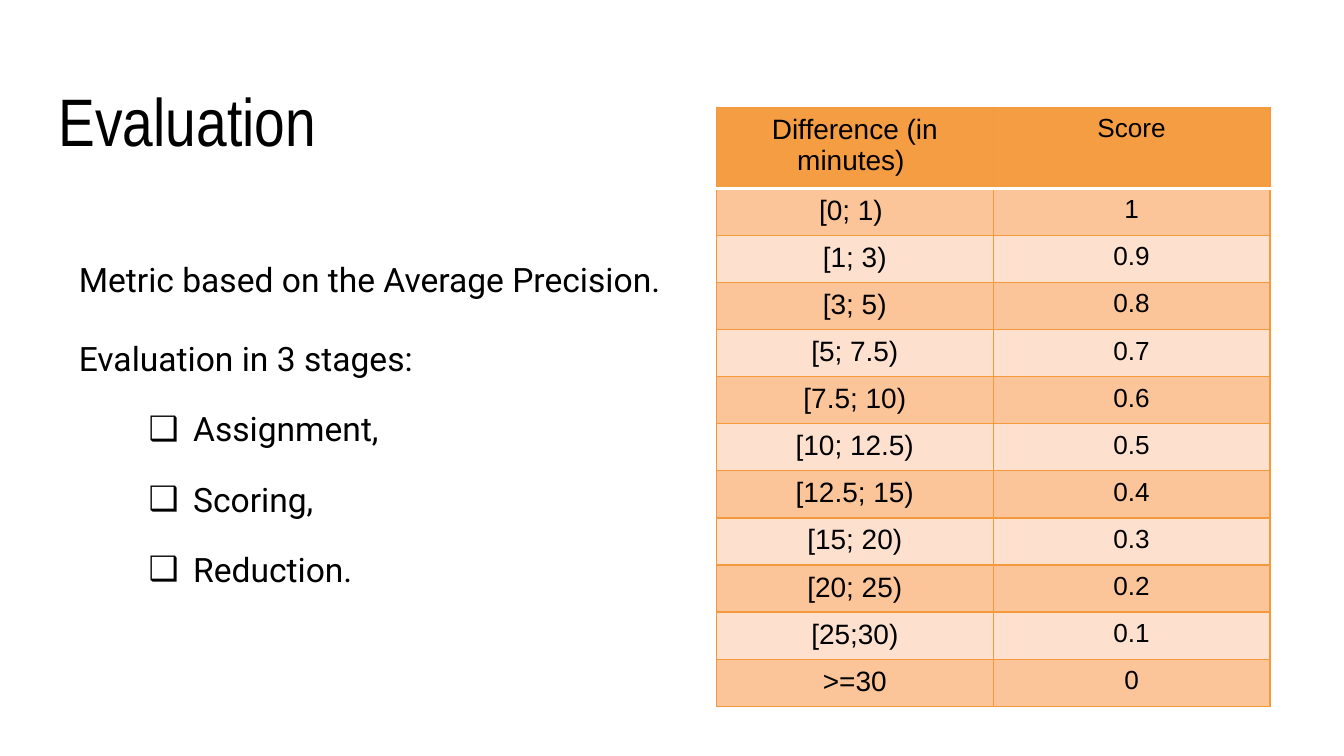
"""Build the slide on evaluation: metric, stages and the score for each time difference."""
from dataclasses import dataclass

from lxml import etree
from pptx import Presentation
from pptx.dml.color import RGBColor
from pptx.enum.text import MSO_ANCHOR, PP_ALIGN
from pptx.oxml.ns import qn
from pptx.util import Cm, Pt

TOP, MIDDLE = MSO_ANCHOR.TOP, MSO_ANCHOR.MIDDLE
LEFT, CENTER = PP_ALIGN.LEFT, PP_ALIGN.CENTER

COLORS = {
    "text": "000000",
    "header": "F59D43",
    "dark_band": "FCC499",
    "light_band": "FEE0CF",
    "border": "F49A3D",
    "rule": "FFFFFF",
}
INSET = Cm(0.25)
HEADER_HEIGHT, ROW_HEIGHT, COLUMN_WIDTH = Cm(1.53), Cm(0.89), Cm(5.23)


@dataclass
class Line:
    text: str
    level: int = 0
    margin: float = 0.38
    indent: float = 0
    before: int = 0
    after: int = 0
    bullet: str = ""


@dataclass
class Score:
    difference: str
    score: str


BODY = [
    Line("Metric based on the Average Precision.", after=21),
    Line("Evaluation in 3 stages:"),
    *(Line(stage, level=1, margin=2.54, indent=-0.84, before=16, bullet="❑")
      for stage in ("Assignment,", "Scoring,", "Reduction.")),
]
HEADING = Score("Difference (in minutes) ", "Score")
SCORES = [
    Score("[0; 1) ", "1"),
    Score("[1; 3)", "0.9"),
    Score("[3; 5)", "0.8"),
    Score("[5; 7.5)", "0.7"),
    Score("[7.5; 10)", "0.6"),
    Score("[10; 12.5)", "0.5"),
    Score("[12.5; 15)", "0.4"),
    Score("[15; 20)", "0.3"),
    Score("[20; 25)", "0.2"),
    Score("[25;30)", "0.1"),
    Score(">=30", "0"),
]


def set_font(paragraph, name: str, size: float) -> None:
    font = paragraph.font
    font.name, font.size, font.bold = name, Pt(size), False
    font.color.rgb = RGBColor.from_string(COLORS["text"])


def place(holder, left: float, top: float, width: float, height: float, anchor) -> None:
    holder.left, holder.top, holder.width, holder.height = map(Cm, (left, top, width, height))
    frame = holder.text_frame
    frame.word_wrap, frame.vertical_anchor = True, anchor
    frame.margin_left = frame.margin_top = frame.margin_right = frame.margin_bottom = INSET


def write_line(paragraph, line: Line) -> None:
    paragraph.text, paragraph.level, paragraph.alignment = line.text, line.level, LEFT
    paragraph.space_before, paragraph.space_after = Pt(line.before), Pt(line.after)
    properties = paragraph._p.get_or_add_pPr()
    properties.set("marL", str(Cm(line.margin)))
    properties.set("indent", str(Cm(line.indent)))
    if line.bullet:
        etree.SubElement(properties, qn("a:buChar"), char=line.bullet)
    else:
        etree.SubElement(properties, qn("a:buNone"))
    set_font(paragraph, "Roboto", 18)


def set_border(cell, side: str, color: str, width: float) -> None:
    border = etree.SubElement(cell._tc.get_or_add_tcPr(), qn(f"a:ln{side}"), w=str(Pt(width)))
    fill = etree.SubElement(border, qn("a:solidFill"))
    etree.SubElement(fill, qn("a:srgbClr"), val=COLORS[color])


def write_cell(cell, text: str, size: float, fill: str, rule_side: str) -> None:
    cell.text = text
    paragraph = cell.text_frame.paragraphs[0]
    paragraph.alignment = CENTER
    set_font(paragraph, "Arial", size)
    for side in "LRTB":
        if side == rule_side:
            set_border(cell, side, "rule", 2)
        else:
            set_border(cell, side, "border", 0.75)
    cell.fill.solid()
    cell.fill.fore_color.rgb = RGBColor.from_string(COLORS[fill])


def add_scores(slide, left: float, top: float) -> None:
    entries = [HEADING, *SCORES]
    height = HEADER_HEIGHT + len(SCORES) * ROW_HEIGHT
    table = slide.shapes.add_table(
        len(entries), 2, Cm(left), Cm(top), 2 * COLUMN_WIDTH, height).table
    table.first_row = table.horz_banding = False
    for column in table.columns:
        column.width = COLUMN_WIDTH
    for index, entry in enumerate(entries):
        table.rows[index].height = ROW_HEIGHT if index else HEADER_HEIGHT
        band = "dark_band" if index % 2 else "light_band"
        fill = band if index else "header"
        rule_side = {0: "B", 1: "T"}.get(index, "")
        write_cell(table.cell(index, 0), entry.difference, 15, fill, rule_side)
        write_cell(table.cell(index, 1), entry.score, 14, fill, rule_side)


def main() -> None:
    deck = Presentation()
    deck.slide_width, deck.slide_height = Cm(25.4), Cm(14.29)
    slide = deck.slides.add_slide(deck.slide_layouts[1])

    title = slide.shapes.title
    place(title, 0.86, 1.24, 23.67, 1.6, TOP)
    title.text_frame.text = "Evaluation"
    heading = title.text_frame.paragraphs[0]
    heading.alignment = LEFT
    set_font(heading, "Arial Narrow", 36)

    body = slide.placeholders[1]
    place(body, 0.86, 3.66, 12.09, 9.45, MIDDLE)
    frame = body.text_frame
    frame.margin_bottom = Cm(1)
    for index, line in enumerate(BODY):
        write_line(frame.add_paragraph() if index else frame.paragraphs[0], line)

    add_scores(slide, 13.54, 2.03)
    deck.save("out.pptx")


if __name__ == "__main__":
    main()
